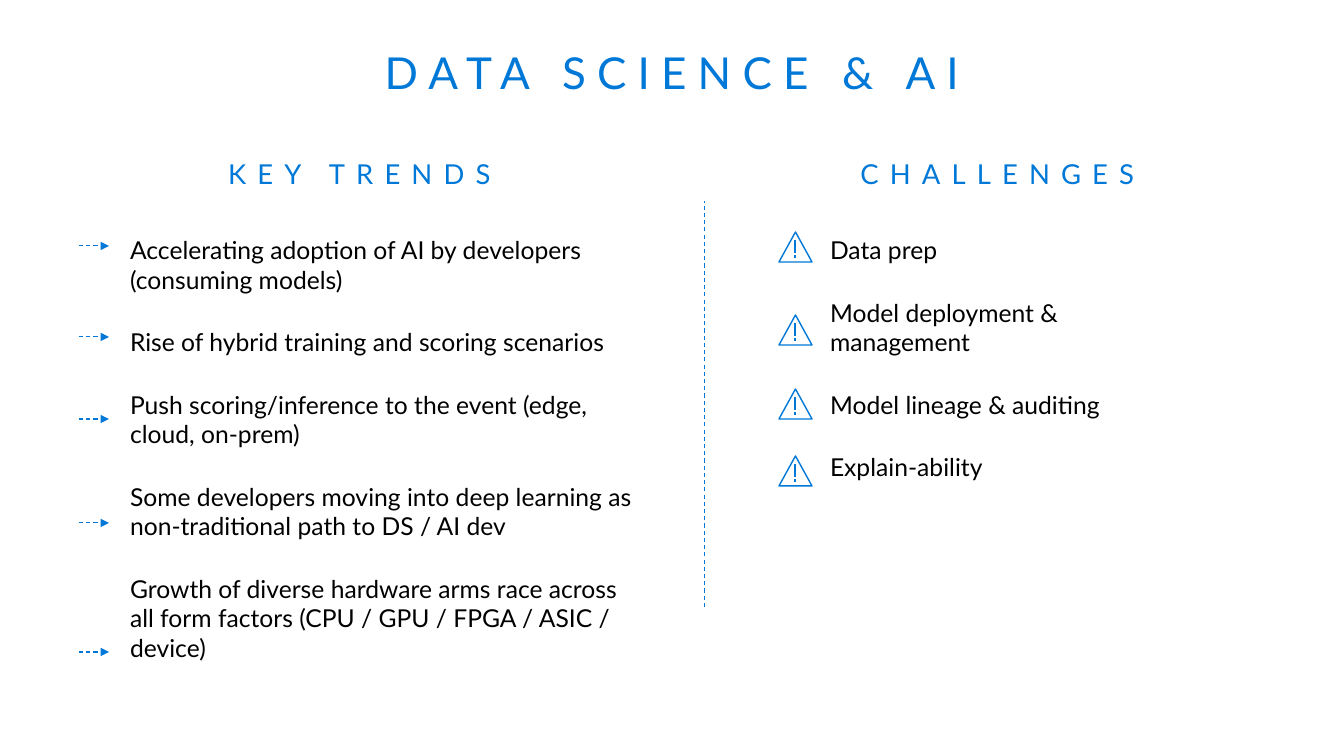
from lxml.etree import SubElement
from pptx import Presentation
from pptx.dml.color import RGBColor
from pptx.enum.dml import MSO_LINE
from pptx.enum.shapes import MSO_CONNECTOR, MSO_SHAPE
from pptx.enum.text import MSO_ANCHOR, MSO_AUTO_SIZE, PP_ALIGN
from pptx.oxml.ns import qn
from pptx.util import Emu, Pt

SCALE = 914400 / 100.8
BLUE = "0078D7"
BLACK = "000000"

TRENDS = [
    "Accelerating adoption of AI by developers\n(consuming models)",
    "Rise of hybrid training and scoring scenarios",
    "Push scoring/inference to the event (edge, cloud, on-prem)",
    "Some developers moving into deep learning as\nnon-traditional path to DS / AI dev",
    "Growth of diverse hardware arms race across all form factors "
    "(CPU / GPU / FPGA / ASIC / device)",
]
ISSUES = [
    "Data prep",
    "Model deployment & management",
    "Model lineage & auditing",
    "Explain-ability",
]
ARROW_ROWS = [246, 337, 419, 523, 652]
ALERT_ROWS = [232, 315, 389, 456]


def px(n):
    return Emu(round(n * SCALE))


def color(code):
    return RGBColor.from_string(code)


def place(shape, box, insets, anchor):
    """Move a placeholder and set up its text frame."""
    shape.left, shape.top, shape.width, shape.height = map(px, box)
    frame = shape.text_frame
    frame.word_wrap = True
    frame.auto_size = MSO_AUTO_SIZE.NONE
    frame.vertical_anchor = anchor
    (frame.margin_left, frame.margin_top,
     frame.margin_right, frame.margin_bottom) = map(px, insets)
    return frame


def style(para, size, code):
    font = para.font
    font.name = "Lato"
    font.size = Pt(size)
    font.bold = False
    font.color.rgb = color(code)


def plain(para):
    """Drop the template's bullet and indent."""
    props = para._p.get_or_add_pPr()
    props.set("marL", "0")
    props.set("indent", "0")
    props.insert_element_before(
        props.makeelement(qn("a:buNone")), "a:tabLst", "a:defRPr", "a:extLst")


def heading(shape, text, box, insets, size):
    """Centred, widely spaced blue capitals."""
    frame = place(shape, box, insets, MSO_ANCHOR.MIDDLE)
    frame.text = text
    para = frame.paragraphs[0]
    para.alignment = PP_ALIGN.CENTER
    para.line_spacing = 0.9
    para.space_before = Pt(0)
    style(para, size, BLUE)
    plain(para)
    para._p.get_or_add_pPr().get_or_add_defRPr().set("spc", "800")


def points(shape, items, box):
    frame = place(shape, box, (10, 5, 10, 5), MSO_ANCHOR.TOP)
    for i, item in enumerate(items):
        para = frame.add_paragraph() if i else frame.paragraphs[0]
        para.text = item
        para.line_spacing = 1.0
        para.space_before = Pt(23.5)
        style(para, 17.6, BLACK)
        plain(para)


def stroke(shapes, x1, y1, x2, y2, width=0.75, dash=False, arrow=False):
    link = shapes.add_connector(
        MSO_CONNECTOR.STRAIGHT, px(x1), px(y1), px(x2), px(y2))
    link.line.color.rgb = color(BLUE)
    link.line.width = Pt(width)
    if dash:
        link.line.dash_style = MSO_LINE.DASH
    if arrow:
        SubElement(link.line._get_or_add_ln(), qn("a:tailEnd"), type="triangle")
    SubElement(link._element.spPr, qn("a:effectLst"))


def alert(shapes, x, y):
    """Warning triangle with an exclamation mark."""
    group = shapes.add_group_shape().shapes
    sign = group.add_shape(
        MSO_SHAPE.ISOSCELES_TRIANGLE, px(x), px(y), px(33), px(30))
    sign.shadow.inherit = False
    sign.fill.background()
    sign.line.color.rgb = color(BLUE)
    sign.line.width = Pt(1)
    for top, end in [(8, 21), (23, 26)]:
        stroke(group, x + 16, y + top, x + 16, y + end, width=1)


def main():
    deck = Presentation()
    deck.slide_width, deck.slide_height = px(1344), px(756)
    slide = deck.slides.add_slide(deck.slide_layouts.get_by_name("Comparison"))
    shapes = slide.shapes
    title, left, trends, right, issues = slide.placeholders

    # Title and column headings
    heading(title, "DATA SCIENCE & AI", (47, 25, 1250, 82), (0, 18, 0, 0), 31.4)
    for shape, text, x in [(left, "KEY TRENDS", 104), (right, "CHALLENGES", 742)]:
        heading(shape, text, (x, 152, 511, 48), (16, 10, 16, 10), 19.6)

    # Lists
    points(trends, TRENDS, (120, 230, 527, 475))
    points(issues, ISSUES, (820, 230, 354, 259))

    # Divider and list markers
    stroke(shapes, 705, 607, 705, 201, dash=True)
    for y in ARROW_ROWS:
        stroke(shapes, 79, y, 109, y, dash=True, arrow=True)
    for y in ALERT_ROWS:
        alert(shapes, 779, y)

    deck.save("out.pptx")


if __name__ == "__main__":
    main()
